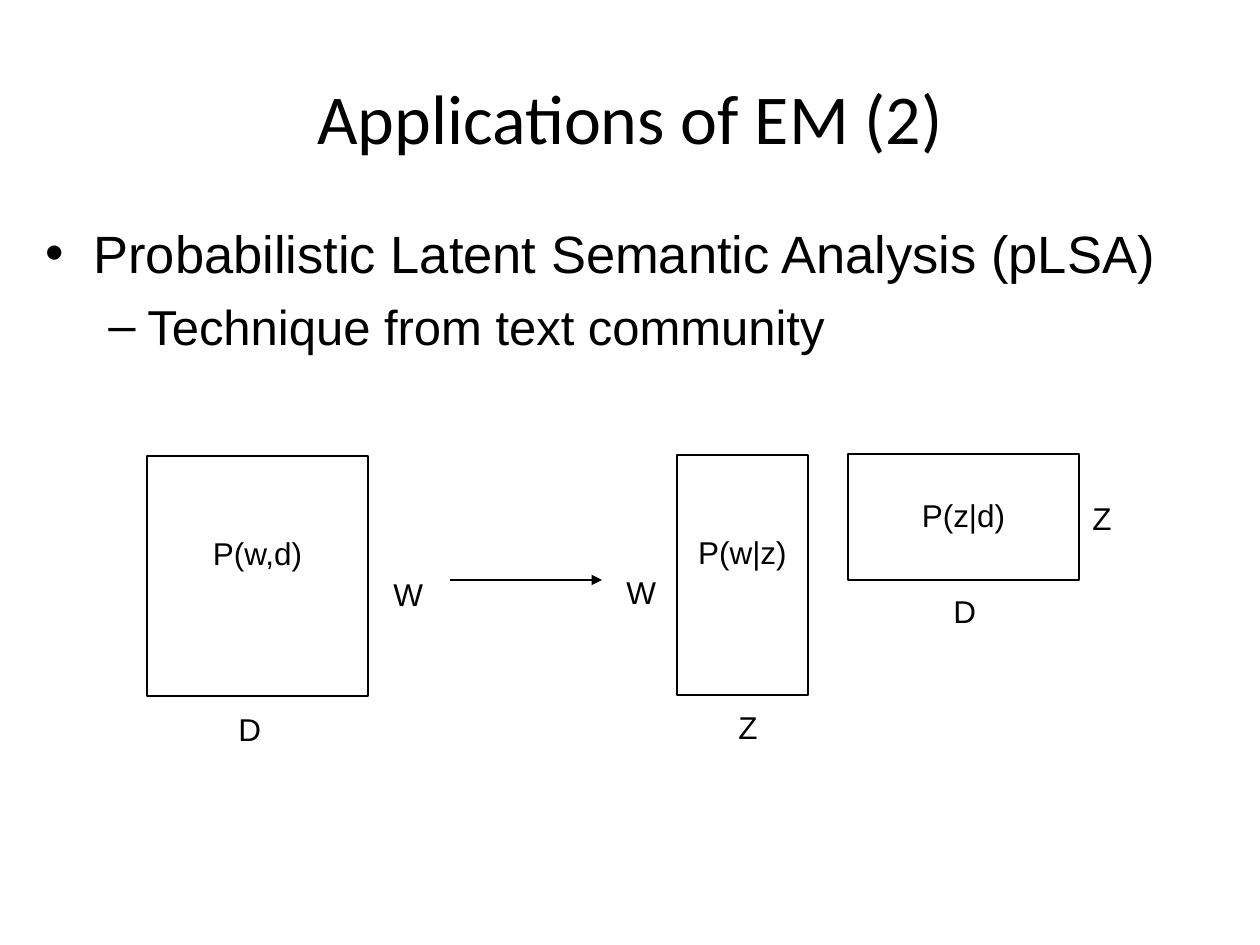
from pptx import Presentation
from pptx.dml.color import RGBColor
from pptx.enum.shapes import MSO_CONNECTOR, MSO_SHAPE
from pptx.enum.text import MSO_ANCHOR, PP_ALIGN
from pptx.oxml.ns import qn
from pptx.util import Pt
from lxml.etree import SubElement

PX = 914400 // 126
INK = "000000"
TITLE = "Applications of EM (2)"
POINTS = [
    ("Probabilistic Latent Semantic Analysis (pLSA)", "•", 0, 30, 48, 48, 0),
    ("Technique from text community", "–", 1, 28, 102, 39, 7),
]
BOXES = [
    ("P(w,d)", 147, 456, 221, 240, 78),
    ("P(w|z)", 677, 455, 131, 240, 78),
    ("P(z|d)", 848, 454, 231, 126, 42),
]
LABELS = [
    ("Z", 726, 702, 44), ("W", 614, 567, 54), ("D", 941, 586, 48),
    ("Z", 1080, 493, 44), ("D", 226, 704, 48), ("W", 381, 569, 54),
]
ARROW = (450, 580, 602, 580)


def emu(*nums):
    return [n * PX for n in nums]


def color(code):
    return RGBColor.from_string(code)


def style(para, size, face="Arial"):
    para.font.size = Pt(size)
    para.font.name = face
    para.font.color.rgb = color(INK)


def write(shape, text, size, face="Arial", top=6, align=PP_ALIGN.CENTER):
    frame = shape.text_frame
    frame.text = text
    frame.margin_top = top * PX
    para = frame.paragraphs[0]
    para.alignment = align
    style(para, size, face)
    return frame


def stroke(line):
    line.color.rgb = color(INK)
    line.width = Pt(0.75)


def bullet(para, mark, left, hang):
    props = para._p.get_or_add_pPr()
    props.set("marL", str(left * PX))
    props.set("indent", str(-hang * PX))
    SubElement(props, qn("a:buFont"), typeface="Arial")
    SubElement(props, qn("a:buChar"), char=mark)


def main():
    deck = Presentation()
    deck.slide_width, deck.slide_height = emu(1260, 945)
    slide = deck.slides.add_slide(deck.slide_layouts[6])
    shapes = slide.shapes

    title = shapes.add_textbox(*emu(63, 38, 1134, 158))
    frame = write(title, TITLE, 40, "Calibri")
    frame.word_wrap = True
    frame.vertical_anchor = MSO_ANCHOR.MIDDLE

    body = shapes.add_textbox(*emu(33, 208, 1206, 624)).text_frame
    body.word_wrap = True
    body.margin_top = 13 * PX
    body.text = "\n".join(point[0] for point in POINTS)
    for para, point in zip(body.paragraphs, POINTS):
        _, mark, level, size, left, hang, gap = point
        para.level = level
        para.space_before = Pt(gap)
        bullet(para, mark, left, hang)
        style(para, size)

    for text, x, y, w, h, top in BOXES:
        box = shapes.add_shape(MSO_SHAPE.RECTANGLE, *emu(x, y, w, h))
        box.shadow.inherit = False
        box.fill.background()
        stroke(box.line)
        frame = write(box, text, 18, top=top)
        frame.vertical_anchor = MSO_ANCHOR.TOP
        frame.word_wrap = False

    for text, x, y, w in LABELS:
        label = shapes.add_textbox(*emu(x, y, w, 50))
        write(label, text, 18, align=PP_ALIGN.LEFT).word_wrap = False

    arrow = shapes.add_connector(MSO_CONNECTOR.STRAIGHT, *emu(*ARROW))
    stroke(arrow.line)
    SubElement(arrow.line._get_or_add_ln(), qn("a:tailEnd"), type="triangle")
    SubElement(arrow._element.spPr, qn("a:effectLst"))

    deck.save("out.pptx")


if __name__ == "__main__":
    main()
